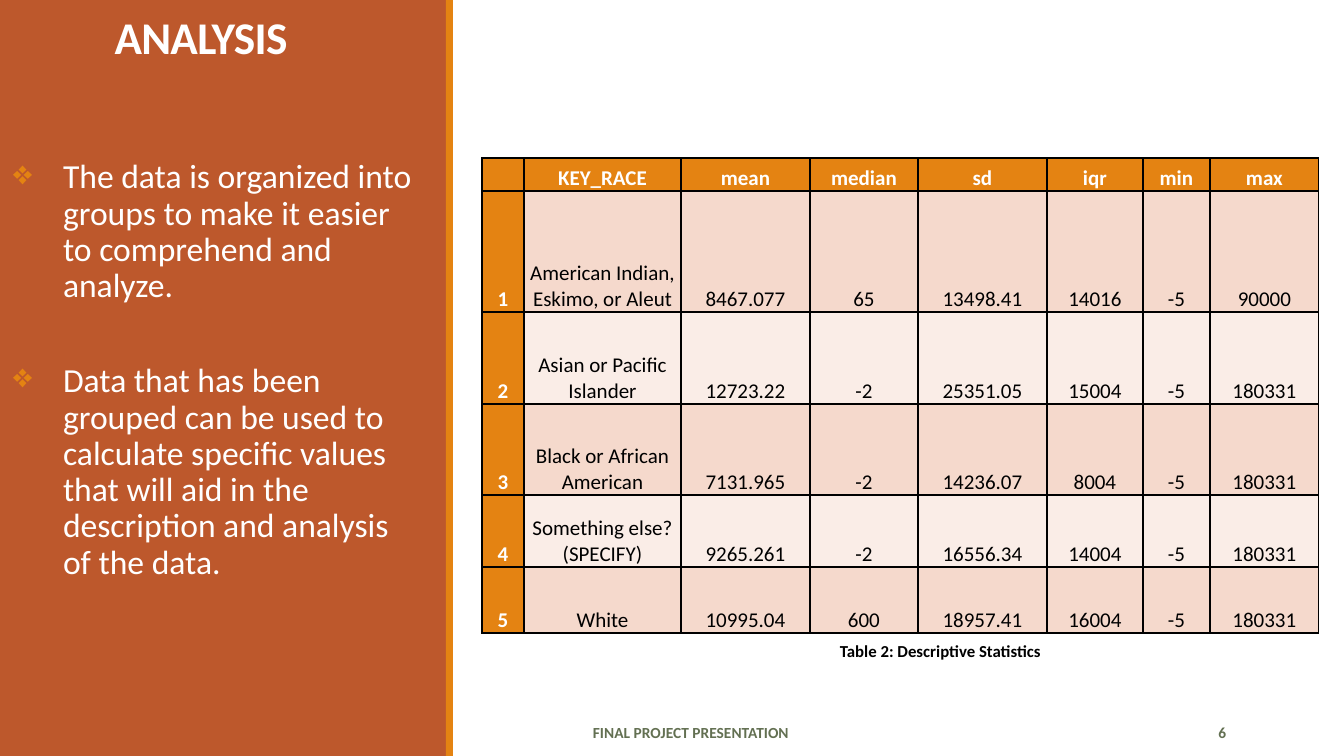
import pptx
import pptx.util
import pptx.dml.color
import pptx.enum.shapes
import pptx.enum.text
import pptx.oxml
import pptx.oxml.ns

RGB = pptx.dml.color.RGBColor
ALIGN = pptx.enum.text.PP_ALIGN
ANCHOR = pptx.enum.text.MSO_ANCHOR

RUST = RGB(0xBD, 0x58, 0x2C)
ORANGE = RGB(0xE4, 0x83, 0x12)
PEACH = RGB(0xF5, 0xD9, 0xCC)
PALE = RGB(0xFA, 0xED, 0xE7)
OLIVE = RGB(0x63, 0x70, 0x52)
WHITE = RGB(0xFF, 0xFF, 0xFF)
BLACK = RGB(0, 0, 0)

FONT = "Calibri"
WIDE, HIGH = 1344, 756

BARS = [((0, 0, 447, HIGH), RUST), ((446, 0, 7, HIGH), ORANGE)]

# text, box, size, colour, align, anchor
LABELS = {
    "title": ("ANALYSIS", (31, 11, 340, 58), 32.4, WHITE, ALIGN.CENTER, ANCHOR.BOTTOM),
    "footer": ("FINAL PROJECT PRESENTATION", (484, 712, 414, 40), 11, OLIVE,
               ALIGN.CENTER, ANCHOR.MIDDLE),
    "number": ("6", (1092, 712, 144, 40), 11, OLIVE, ALIGN.RIGHT, ANCHOR.MIDDLE),
    "caption": ("Table 2: Descriptive Statistics", (727, 636, 427, 32), 12, BLACK,
                ALIGN.CENTER, ANCHOR.TOP),
}

POINTS = [
    "The data is organized into groups to make it easier to comprehend and analyze.",
    "Data that has been grouped can be used to calculate specific values "
    "that will aid in the description and analysis of the data.",
]
POINT_BOX = (13, 155, 405, 557)
POINT_GAPS = [12, 40]

STATS = [
    ("", "KEY_RACE", "mean", "median", "sd", "iqr", "min", "max"),
    ("1", "American Indian, Eskimo, or Aleut", "8467.077", "65", "13498.41", "14016", "-5", "90000"),
    ("2", "Asian or Pacific Islander", "12723.22", "-2", "25351.05", "15004", "-5", "180331"),
    ("3", "Black or African American", "7131.965", "-2", "14236.07", "8004", "-5", "180331"),
    ("4", "Something else? (SPECIFY)", "9265.261", "-2", "16556.34", "14004", "-5", "180331"),
    ("5", "White", "10995.04", "600", "18957.41", "16004", "-5", "180331"),
]
TABLE_AT = (482, 158)
COLS = [42, 157, 129, 108, 129, 96, 67, 109]
ROWS = [33, 121, 92, 91, 72, 66]


def px(n):
    return pptx.util.Emu(round(n * 914400 / 100.8))


def style(para, size, color, bold=False):
    for run in para.runs:
        run.font.name = FONT
        run.font.size = pptx.util.Pt(size)
        run.font.bold = bold
        run.font.color.rgb = color


def xml(tag, inner="", **attrs):
    pairs = "".join(f' {k}="{v}"' for k, v in attrs.items())
    space = pptx.oxml.ns.nsdecls("a")
    return pptx.oxml.parse_xml(f"<a:{tag} {space}{pairs}>{inner}</a:{tag}>")


def add_bar(slide, box, color):
    kind = pptx.enum.shapes.MSO_SHAPE.RECTANGLE
    bar = slide.shapes.add_shape(kind, *map(px, box))
    bar.shadow.inherit = False
    bar.fill.solid()
    bar.fill.fore_color.rgb = color
    bar.line.fill.background()


def add_label(slide, text, box, size, color, align, anchor):
    frame = slide.shapes.add_textbox(*map(px, box)).text_frame
    frame.word_wrap = True
    frame.vertical_anchor = anchor
    frame.text = text
    para = frame.paragraphs[0]
    para.alignment = align
    style(para, size, color, True)
    return para


def add_points(slide):
    frame = slide.shapes.add_textbox(*map(px, POINT_BOX)).text_frame
    frame.word_wrap = True
    frame.margin_left = frame.margin_right = 0
    frame.text = "\n".join(POINTS)
    for para, gap in zip(frame.paragraphs, POINT_GAPS):
        para.line_spacing = 0.9
        para.space_before = pptx.util.Pt(gap)
        para.space_after = pptx.util.Pt(2)
        style(para, 24, WHITE)
        props = para._p.get_or_add_pPr()
        props.set("marL", str(px(50)))
        props.set("indent", str(-px(50)))
        props.append(xml("buClr", f'<a:srgbClr val="{ORANGE}"/>'))
        props.append(xml("buChar", char="❖"))


def fill_cell(cell, text, row, col):
    head = row == 0 or col == 0
    cell.margin_left = cell.margin_right = px(6)
    cell.margin_top = cell.margin_bottom = 0
    cell.vertical_anchor = ANCHOR.BOTTOM
    cell.text = text
    para = cell.text_frame.paragraphs[0]
    para.alignment = ALIGN.CENTER
    style(para, 15, WHITE if head else BLACK, head)
    ink = f'<a:solidFill><a:srgbClr val="{BLACK}"/></a:solidFill>'
    for side in "LRTB":
        cell._tc.get_or_add_tcPr().append(xml("ln" + side, ink, w=12700))
    cell.fill.solid()
    cell.fill.fore_color.rgb = ORANGE if head else PEACH if row % 2 else PALE


def add_stats(slide):
    size = (sum(COLS), sum(ROWS))
    frame = slide.shapes.add_table(len(ROWS), len(COLS), *map(px, TABLE_AT + size))
    table = frame.table
    for col, width in zip(table.columns, COLS):
        col.width = px(width)
    for row, height in zip(table.rows, ROWS):
        row.height = px(height)
    for r, line in enumerate(STATS):
        for c, text in enumerate(line):
            fill_cell(table.cell(r, c), text, r, c)


def main():
    deck = pptx.Presentation()
    deck.slide_width, deck.slide_height = px(WIDE), px(HIGH)
    slide = deck.slides.add_slide(deck.slide_layouts[6])
    for box, color in BARS:
        add_bar(slide, box, color)
    add_points(slide)
    add_stats(slide)
    paras = {name: add_label(slide, *label) for name, label in LABELS.items()}
    title = paras["title"]
    title.line_spacing = 0.85
    title.runs[0]._r.get_or_add_rPr().set("spc", "-50")
    for name in ("footer", "number"):
        paras[name].space_after = pptx.util.Pt(6)
    deck.save("out.pptx")


if __name__ == "__main__":
    main()
